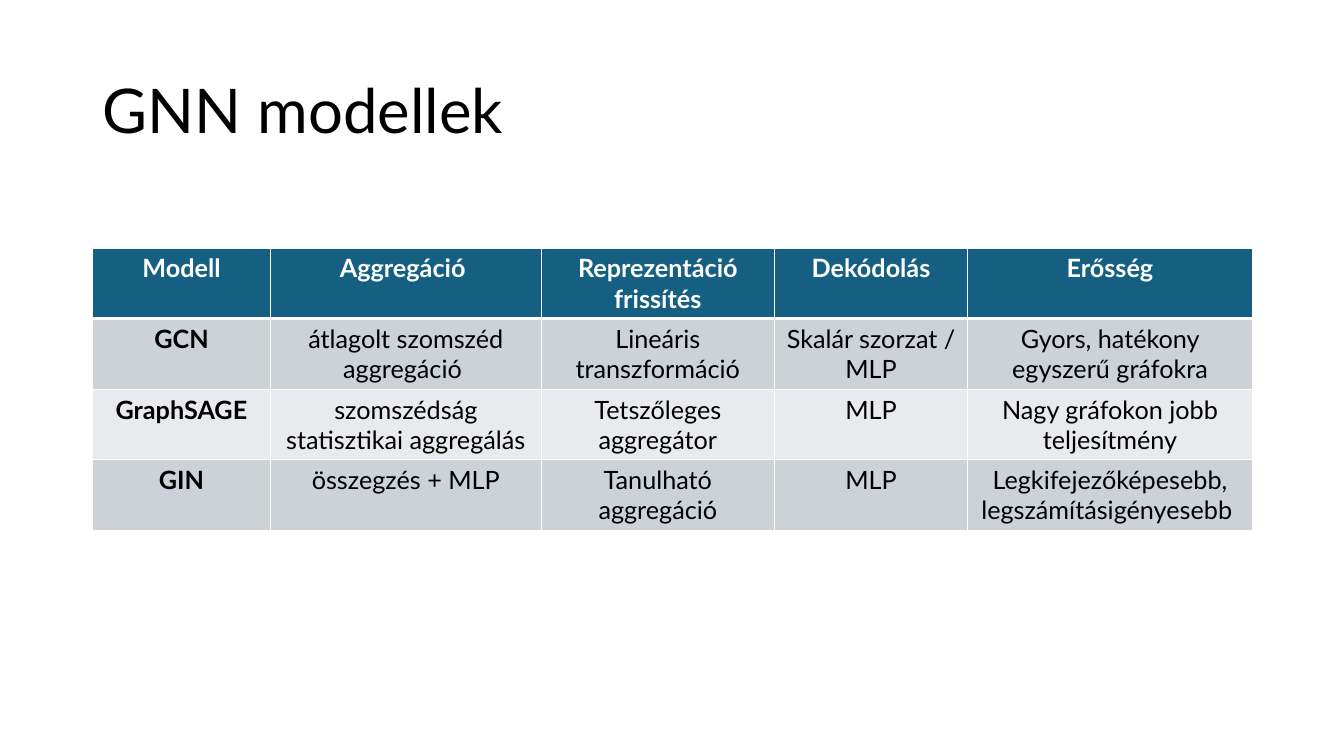
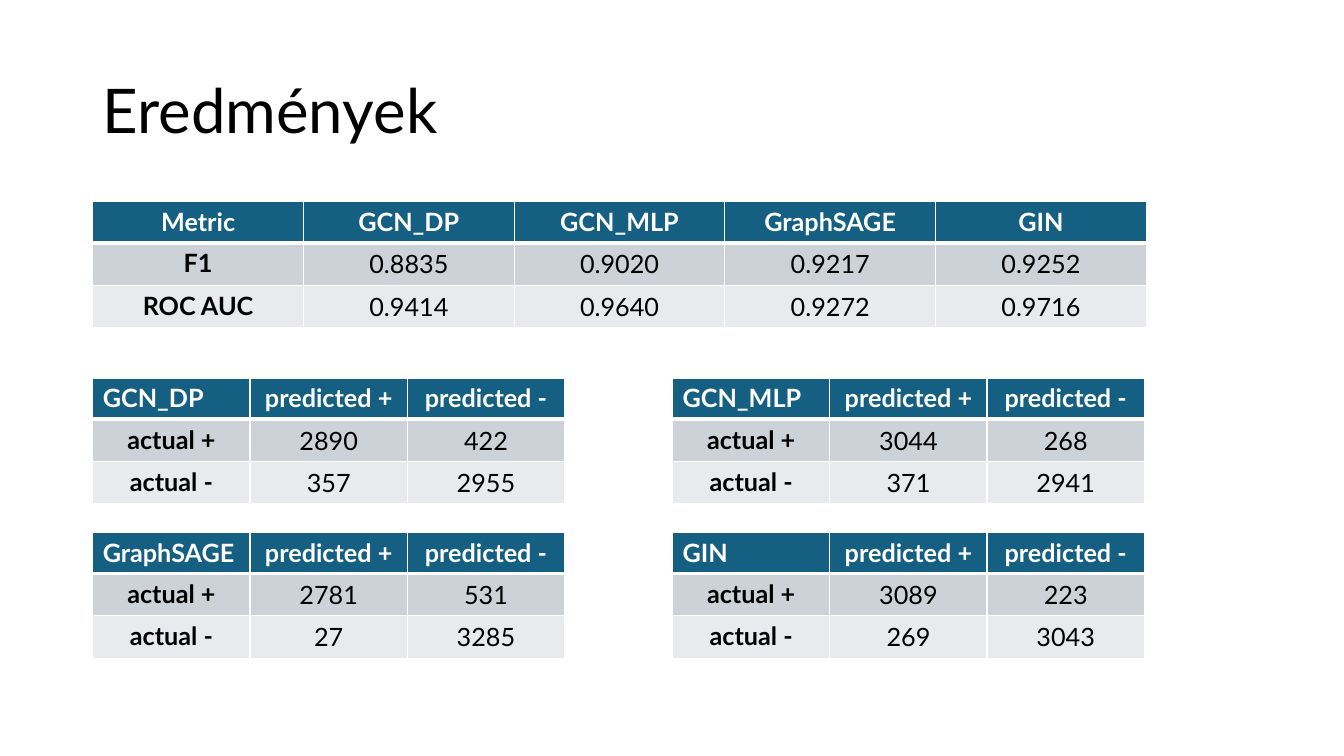
from lxml import etree
from pptx import Presentation
from pptx.dml.color import RGBColor
from pptx.enum import text
from pptx.oxml.ns import qn
from pptx.util import Inches, Pt

FONT = "Lato"
WHITE, BLACK, HEADER = "FFFFFF", "000000", "156082"
BANDS = ["CCD2D8", "E8EAED"]
LEFT = 0.92
RIGHT_MATRIX = 6.67
VALUE_ROWS = [0.41, 0.42, 0.42]

MODELS = [
    ["Modell", "Aggregáció ", "Reprezentáció frissítés", "Dekódolás", "Erősség"],
    ["GCN", "átlagolt szomszéd\naggregáció ", "Lineáris transzformáció",
     "Skalár szorzat / MLP", "Gyors, hatékony egyszerű gráfokra"],
    ["GraphSAGE", "szomszédság statisztikai aggregálás", "Tetszőleges aggregátor",
     "MLP", "Nagy gráfokon jobb teljesítmény"],
    ["GIN", "összegzés + MLP", "Tanulható aggregáció", "MLP",
     "Legkifejezőképesebb,\nlegszámításigényesebb "],
]
METRICS = [
    ["Metric", "GCN_DP", "GCN_MLP", "GraphSAGE", "GIN"],
    ["F1", "0.8835", "0.9020", "0.9217", "0.9252"],
    ["ROC AUC", "0.9414", "0.9640", "0.9272", "0.9716"],
]
CONFUSION = [
    ("GCN_DP", ["2890", "422"], ["357", "2955"]),
    ("GCN_MLP", ["3044", "268"], ["371", "2941"]),
    ("GraphSAGE", ["2781", "531"], ["27", "3285"]),
    ("GIN", ["3089", "223"], ["269", "3043"]),
]


def color(value):
    return RGBColor.from_string(value)


def style_font(font, size, value, bold=False):
    font.name = FONT
    font.size = Pt(size)
    font.bold = bold
    font.color.rgb = color(value)


def add_titled_slide(deck, heading):
    slide = deck.slides.add_slide(deck.slide_layouts[5])
    title = slide.shapes.title
    title.left, title.top = Inches(LEFT), Inches(0.4)
    title.width, title.height = Inches(11.5), Inches(1.45)
    title.text_frame.text = heading
    title.text_frame.vertical_anchor = text.MSO_ANCHOR.MIDDLE
    line = title.text_frame.paragraphs[0]
    line.alignment = text.PP_ALIGN.LEFT
    line.line_spacing = 0.9
    style_font(line.font, 44, BLACK)
    return slide


def set_borders(cell, row):
    widths = {"L": 1, "R": 1, "T": 3 if row == 1 else 1, "B": 3 if row == 0 else 1}
    properties = cell._tc.get_or_add_tcPr()
    for side, width in widths.items():
        border = etree.SubElement(properties, qn(f"a:ln{side}"), w=str(Pt(width)))
        fill = etree.SubElement(border, qn("a:solidFill"))
        etree.SubElement(fill, qn("a:srgbClr"), val=WHITE)


def style_cell(cell, row, column, left_corner, values):
    set_borders(cell, row)
    cell.fill.solid()
    cell.fill.fore_color.rgb = color(BANDS[(row - 1) % 2] if row else HEADER)
    if values and row and column:
        cell.vertical_anchor = text.MSO_ANCHOR.MIDDLE
        cell.margin_left = cell.margin_right = Inches(0.14)
        cell.margin_top = cell.margin_bottom = Inches(0.06)
    corner = left_corner and row == 0 and column == 0
    for line in cell.text_frame.paragraphs:
        line.alignment = text.PP_ALIGN.LEFT if corner else text.PP_ALIGN.CENTER
        style_font(line.font, 18, BLACK if row else WHITE, row == 0 or column == 0)


def add_grid(slide, left, top, widths, heights, rows, left_corner=False, values=True):
    frame = slide.shapes.add_table(len(heights), len(widths), Inches(left), Inches(top),
                                   Inches(sum(widths)), Inches(sum(heights)))
    grid = frame.table
    for column, width in zip(grid.columns, widths):
        column.width = Inches(width)
    for r, (height, entries) in enumerate(zip(heights, rows)):
        grid.rows[r].height = Inches(height)
        for c, entry in enumerate(entries):
            cell = grid.cell(r, c)
            cell.text = entry
            style_cell(cell, r, c, left_corner, values)


def add_confusion_matrix(slide, left, top, model, positive, negative):
    rows = [[model, "predicted +", "predicted -"],
            ["actual +", *positive],
            ["actual -", *negative]]
    add_grid(slide, left, top, [1.56] * 3, VALUE_ROWS, rows, left_corner=True)


def main():
    deck = Presentation()
    deck.slide_width, deck.slide_height = Inches(13.33), Inches(7.5)

    models = add_titled_slide(deck, "GNN modellek")
    add_grid(models, LEFT, 2.46, [1.76, 2.69, 2.31, 1.92, 2.82], [0.7] * 4,
             MODELS, values=False)

    results = add_titled_slide(deck, "Eredmények")
    add_grid(results, LEFT, 2, [2.09] * 5, VALUE_ROWS, METRICS)
    for index, matrix in enumerate(CONFUSION):
        row, column = divmod(index, 2)
        add_confusion_matrix(results, [LEFT, RIGHT_MATRIX][column],
                             3.75 + 1.53 * row, *matrix)

    deck.save("out.pptx")


if __name__ == "__main__":
    main()
